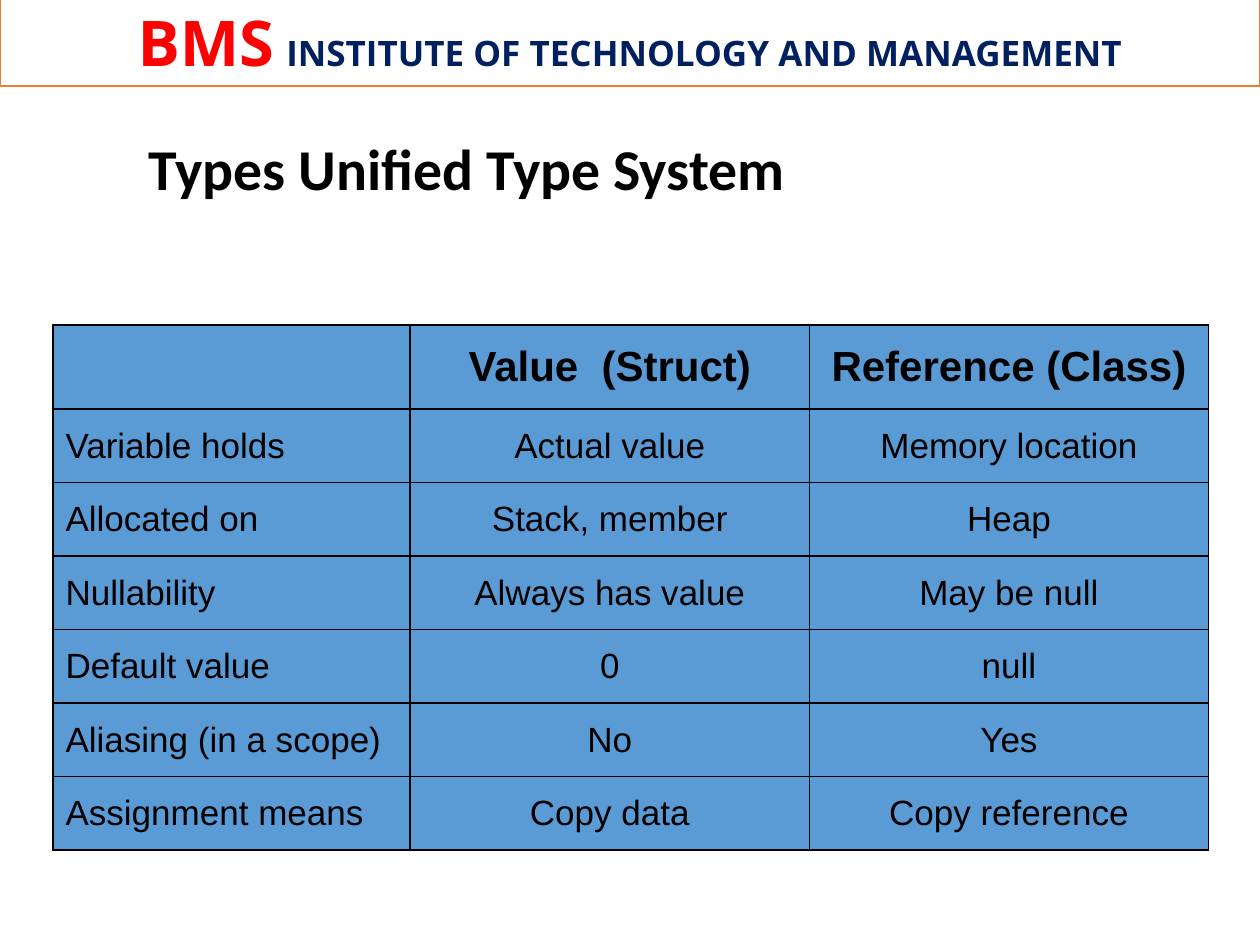
from lxml.etree import SubElement
from pptx import Presentation
from pptx.dml.color import RGBColor
from pptx.enum.shapes import MSO_SHAPE as Shape
from pptx.enum.text import MSO_ANCHOR as Anchor, PP_ALIGN as Align
from pptx.oxml.ns import qn
from pptx.util import Inches, Pt

WIDTH, HEIGHT = Inches(10), Inches(7.5)
BLACK, WHITE, BLUE = "000000", "FFFFFF", "5B9BD5"

ROWS = [
    ("", "Value  (Struct)", "Reference (Class)"),
    ("Variable holds", "Actual value", "Memory location"),
    ("Allocated on", "Stack, member", "Heap"),
    ("Nullability", "Always has value", "May be null"),
    ("Default value", "0", "null"),
    ("Aliasing (in a scope)", "No", "Yes"),
    ("Assignment means", "Copy data", "Copy reference"),
]
COLUMN_SHARES = (0.309, 0.346, 0.345)
HEADER_SHARE = 0.16


def color(value):
    return RGBColor.from_string(value)


def box(left, top, width, height):
    """Turn shares of the slide into lengths."""
    return (int(left * WIDTH), int(top * HEIGHT),
            int(width * WIDTH), int(height * HEIGHT))


def style(font, name, size, value, bold=False):
    font.name, font.size, font.bold = name, Pt(size), bold
    font.color.rgb = color(value)


def add_banner(slide, area):
    banner = slide.shapes.add_shape(Shape.RECTANGLE, *area)
    banner.shadow.inherit = False
    banner.fill.solid()
    banner.fill.fore_color.rgb = color(WHITE)
    banner.line.color.rgb = color("ED7D31")
    banner.line.width = Pt(1)
    banner.text_frame.vertical_anchor = Anchor.MIDDLE
    paragraph = banner.text_frame.paragraphs[0]
    paragraph.alignment = Align.CENTER
    paragraph.space_after = Pt(2)
    for text, size, value in (
        ("BMS", 36, "FF0000"),
        (" ", 27, "FF0000"),
        ("INSTITUTE OF TECHNOLOGY AND MANAGEMENT", 20, "002060"),
    ):
        run = paragraph.add_run()
        run.text = text
        style(run.font, "Open Sans", size, value, bold=True)


def add_title(slide, area):
    frame = slide.shapes.add_textbox(*area).text_frame
    frame.word_wrap = True
    frame.vertical_anchor = Anchor.MIDDLE
    frame.text = "Types Unified Type System"
    paragraph = frame.paragraphs[0]
    paragraph.line_spacing = 0.9
    style(paragraph.runs[0].font, "Calibri", 33, BLACK, bold=True)


def add_borders(cell):
    properties = cell._tc.get_or_add_tcPr()
    for index, side in enumerate(("a:lnL", "a:lnR", "a:lnT", "a:lnB")):
        line = SubElement(properties, qn(side), w=str(Pt(1)))
        fill = SubElement(line, qn("a:solidFill"))
        SubElement(fill, qn("a:srgbClr"), val=BLACK)
        # Borders come before the cell fill
        properties.insert(index, line)


def add_comparison(slide, area):
    width, height = area[2:]
    table = slide.shapes.add_table(len(ROWS), len(COLUMN_SHARES), *area).table
    table.horz_banding = False

    # Grid: a taller header row, then equal rows
    for column, share in zip(table.columns, COLUMN_SHARES):
        column.width = int(width * share)
    body_share = (1 - HEADER_SHARE) / (len(ROWS) - 1)
    for index, row in enumerate(table.rows):
        row.height = int(height * (body_share if index else HEADER_SHARE))

    # Cells: labels on the left, values centred
    for row_index, texts in enumerate(ROWS):
        for column_index, text in enumerate(texts):
            cell = table.cell(row_index, column_index)
            cell.fill.solid()
            cell.fill.fore_color.rgb = color(BLUE)
            add_borders(cell)
            cell.vertical_anchor = Anchor.MIDDLE
            cell.text_frame.text = text
            paragraph = cell.text_frame.paragraphs[0]
            paragraph.alignment = Align.CENTER if column_index else Align.LEFT
            is_header = row_index == 0
            for run in paragraph.runs:
                style(run.font, "Arial", 24 if is_header else 20, BLACK, is_header)


def main():
    presentation = Presentation()
    presentation.slide_width, presentation.slide_height = WIDTH, HEIGHT
    slide = presentation.slides.add_slide(presentation.slide_layouts[6])
    add_banner(slide, box(0, -0.004, 1, 0.095))
    add_title(slide, box(0.108, 0.13, 0.85, 0.104))
    add_comparison(slide, box(0.042, 0.344, 0.917, 0.556))
    presentation.save("out.pptx")


if __name__ == "__main__":
    main()
